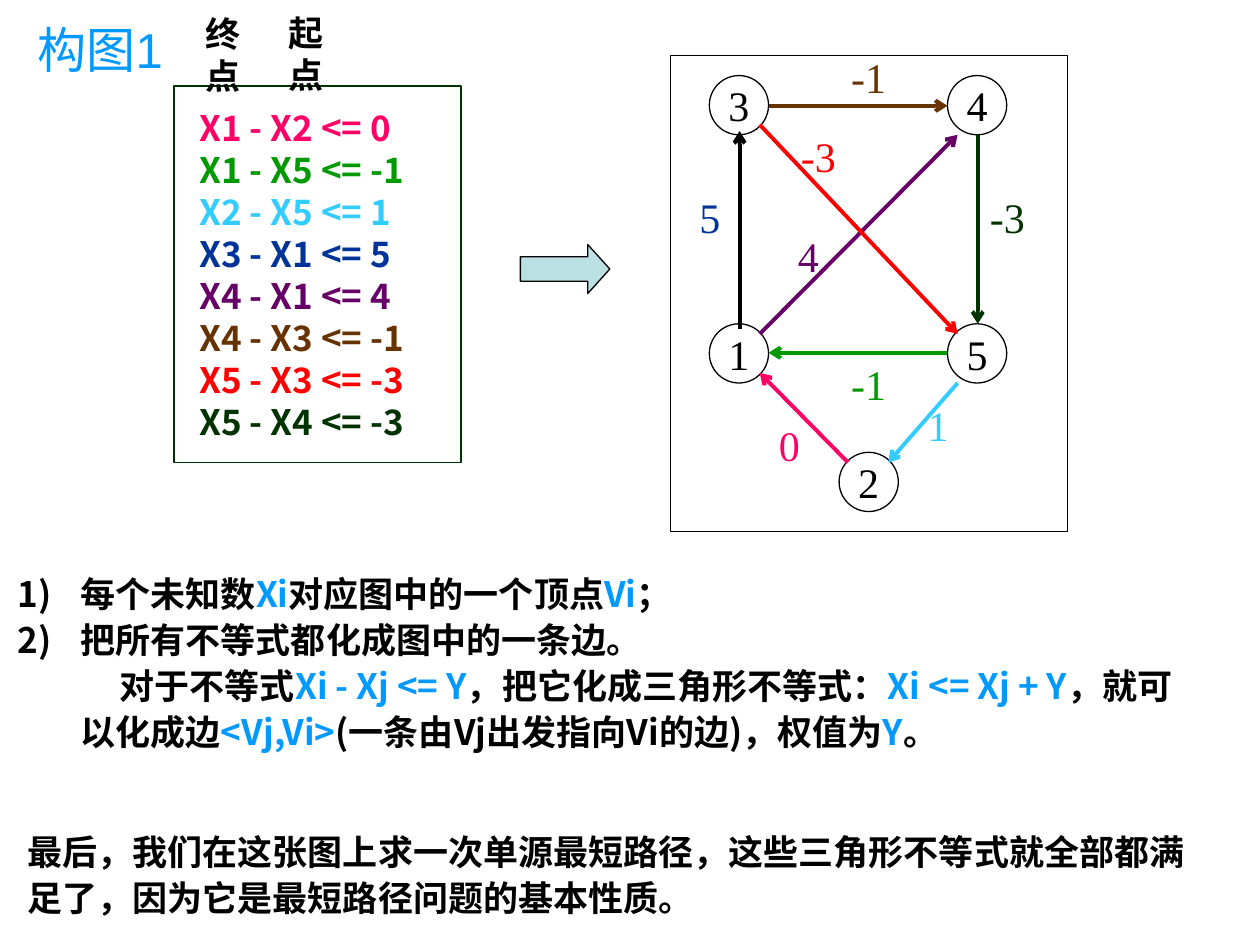
from dataclasses import dataclass

from lxml.etree import SubElement
from pptx import Presentation
from pptx.dml.color import RGBColor
from pptx.enum.shapes import MSO_CONNECTOR, MSO_SHAPE
from pptx.enum.text import MSO_ANCHOR, MSO_AUTO_SIZE, PP_ALIGN
from pptx.oxml.ns import qn
from pptx.util import Emu, Pt

PX = 9144
NODE_SIZE = 47
CJK_FONT = "Noto Sans CJK SC"
COLORS = {
    "black": "000000",
    "white": "FFFFFF",
    "accent": "0099FF",
    "pink": "FF0066",
    "green": "009900",
    "sky": "33CCFF",
    "navy": "003399",
    "purple": "660066",
    "brown": "663300",
    "red": "FF0000",
    "forest": "003300",
    "pale": "BBE0E3",
}


@dataclass(frozen=True)
class Vertex:
    number: int
    left: int
    top: int


@dataclass(frozen=True)
class Edge:
    source: int
    target: int
    weight: int
    color: str
    start: tuple[int, int]
    end: tuple[int, int]
    label_at: tuple[int, int]
    line_color: str = ""

    @property
    def inequality(self) -> str:
        return f"X{self.target} - X{self.source} <= {self.weight}"


VERTICES = [
    Vertex(1, 563, 257),
    Vertex(2, 666, 359),
    Vertex(3, 563, 60),
    Vertex(4, 752, 60),
    Vertex(5, 752, 257),
]
EDGES = [
    Edge(2, 1, 0, "pink", (673, 367), (603, 296), (595, 328)),
    Edge(5, 1, -1, "green", (752, 280), (610, 280), (658, 280)),
    Edge(5, 2, 1, "sky", (760, 304), (705, 367), (713, 312)),
    Edge(1, 3, 5, "navy", (587, 261), (587, 104), (532, 147), "black"),
    Edge(1, 4, 4, "purple", (603, 265), (760, 107), (610, 178)),
    Edge(3, 4, -1, "brown", (610, 84), (752, 84), (658, 36)),
    Edge(3, 5, -3, "red", (603, 99), (760, 265), (618, 99)),
    Edge(4, 5, -3, "forest", (776, 107), (776, 257), (768, 147)),
]
STEPS = [
    [("每个未知数", "black"), ("Xi", "accent"), ("对应图中的一个顶点", "black"),
     ("Vi", "accent"), ("；", "black")],
    [("把所有不等式都化成图中的一条边。", "black")],
    [("对于不等式", "black"), ("Xi - Xj <= Y", "accent"),
     ("，把它化成三角形不等式：", "black"), ("Xi <= Xj + Y", "accent"),
     ("，就可以化成边", "black"), ("<Vj,Vi>", "accent"),
     ("(一条由Vj出发指向Vi的边)，权值为", "black"), ("Y", "accent"), ("。", "black")],
]
CONCLUSION = ("最后，我们在这张图上求一次单源最短路径，这些三角形不等式就全部都满足了，"
              "因为它是最短路径问题的基本性质。")


def px(*lengths: int) -> list[Emu]:
    return [Emu(length * PX) for length in lengths]


def rgb(color: str) -> RGBColor:
    return RGBColor.from_string(COLORS[color])


def place(shape, left: int, top: int, width: int, height: int) -> None:
    shape.left, shape.top, shape.width, shape.height = px(left, top, width, height)


def add_run(paragraph, text: str, color: str, size: int, font: str, bold: bool = False) -> None:
    run = paragraph.add_run()
    run.text = text
    run.font.size = Pt(size)
    run.font.name = font
    run.font.bold = bold
    run.font.color.rgb = rgb(color)
    SubElement(run.font._element, qn("a:ea")).set("typeface", CJK_FONT)


def set_margins(frame, side: int = 10, edge: int = 5) -> None:
    frame.margin_left, frame.margin_right = px(side, side)
    frame.margin_top, frame.margin_bottom = px(edge, edge)


def add_label(slide, box: tuple[int, int, int, int], text: str, color: str = "black",
              size: int = 20, font: str = "Arial", bold: bool = True,
              align: PP_ALIGN = PP_ALIGN.LEFT, spacing: float = 1.0) -> None:
    frame = slide.shapes.add_textbox(*px(*box)).text_frame
    frame.word_wrap = True
    set_margins(frame)
    paragraph = frame.paragraphs[0]
    paragraph.alignment = align
    paragraph.line_spacing = spacing
    add_run(paragraph, text, color, size, font, bold)


def add_outline(slide, kind: MSO_SHAPE, box: tuple[int, int, int, int],
                fill: str = "", line: str = "black", width: float = 0.75):
    shape = slide.shapes.add_shape(kind, *px(*box))
    shape.shadow.inherit = False
    if fill:
        shape.fill.solid()
        shape.fill.fore_color.rgb = rgb(fill)
    else:
        shape.fill.background()
    shape.line.color.rgb = rgb(line)
    shape.line.width = Pt(width)
    return shape


def add_vertex(slide, vertex: Vertex) -> None:
    circle = add_outline(slide, MSO_SHAPE.OVAL,
                         (vertex.left, vertex.top, NODE_SIZE, NODE_SIZE))
    frame = circle.text_frame
    frame.word_wrap = False
    frame.vertical_anchor = MSO_ANCHOR.MIDDLE
    set_margins(frame)
    frame.paragraphs[0].alignment = PP_ALIGN.CENTER
    add_run(frame.paragraphs[0], str(vertex.number), "black", 24, "Times New Roman")


def add_edge(slide, edge: Edge) -> None:
    arrow = slide.shapes.add_connector(MSO_CONNECTOR.STRAIGHT, *px(*edge.start, *edge.end))
    arrow.line.color.rgb = rgb(edge.line_color or edge.color)
    arrow.line.width = Pt(2.25)
    SubElement(arrow.line._get_or_add_ln(), qn("a:tailEnd")).set("type", "arrow")
    SubElement(arrow._element.spPr, qn("a:effectLst"))


def add_inequalities(slide) -> None:
    panel = add_outline(slide, MSO_SHAPE.RECTANGLE, (138, 68, 228, 299), "white", "forest", 1)
    frame = panel.text_frame
    frame.word_wrap = True
    frame.vertical_anchor = MSO_ANCHOR.MIDDLE
    set_margins(frame, 20, 10)
    for index, edge in enumerate(EDGES):
        paragraph = frame.add_paragraph() if index else frame.paragraphs[0]
        paragraph.alignment = PP_ALIGN.LEFT
        add_run(paragraph, edge.inequality, edge.color, 20, CJK_FONT, True)


def fill_title(title) -> None:
    place(title, 20, 5, 908, 67)
    frame = title.text_frame
    frame.vertical_anchor = MSO_ANCHOR.MIDDLE
    set_margins(frame)
    frame.paragraphs[0].alignment = PP_ALIGN.LEFT
    add_run(frame.paragraphs[0], "构图1", "accent", 28, "Arial")


def fill_steps(body) -> None:
    place(body, 4, 446, 961, 157)
    frame = body.text_frame
    frame.auto_size = MSO_AUTO_SIZE.NONE
    set_margins(frame)
    for index, step in enumerate(STEPS):
        paragraph = frame.add_paragraph() if index else frame.paragraphs[0]
        numbered = index < 2
        properties = paragraph._p.get_or_add_pPr()
        properties.set("marL", str(50 * PX))
        properties.set("indent", str((-50 if numbered else 31) * PX))
        if numbered:
            SubElement(properties, qn("a:buFont")).set("typeface", CJK_FONT)
            SubElement(properties, qn("a:buAutoNum")).set("type", "arabicParenR")
        else:
            SubElement(properties, qn("a:buNone"))
        paragraph.line_spacing = 1.1
        paragraph.space_before = Pt(0)
        for text, color in step:
            add_run(paragraph, text, color, 20, CJK_FONT, True)


def main() -> None:
    deck = Presentation()
    deck.slide_width, deck.slide_height = px(1000, 750)
    slide = deck.slides.add_slide(deck.slide_layouts[1])
    fill_title(slide.shapes.title)
    fill_steps(slide.placeholders[1])
    add_label(slide, (12, 651, 953, 84), CONCLUSION, spacing=1.1)
    add_inequalities(slide)
    add_outline(slide, MSO_SHAPE.RECTANGLE, (532, 44, 315, 378), "white")
    for vertex in VERTICES:
        add_vertex(slide, vertex)
    for edge in EDGES:
        add_edge(slide, edge)
    for edge in EDGES:
        add_label(slide, (*edge.label_at, 63, 50), str(edge.weight), edge.color, 24,
                  "Times New Roman", False, PP_ALIGN.CENTER)
    implication = add_outline(slide, MSO_SHAPE.RIGHT_ARROW, (413, 194, 71, 39), "pale")
    implication.adjustments[1] = 0.45
    add_label(slide, (153, 5, 62, 77), "终点")
    add_label(slide, (219, 4, 62, 77), "起点")
    deck.save("out.pptx")


if __name__ == "__main__":
    main()
